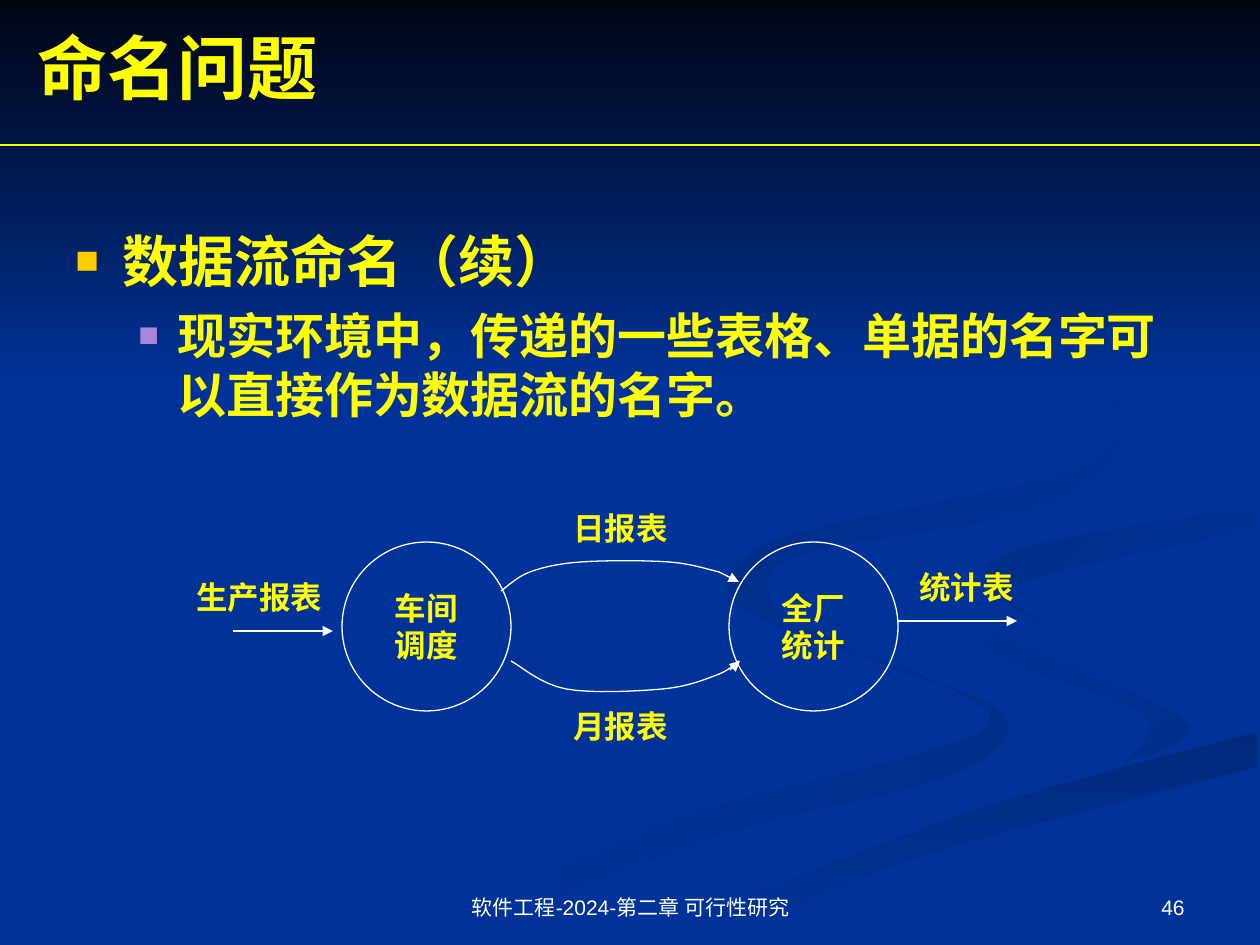
import pptx
import pptx.dml.color
import pptx.enum.shapes
import pptx.enum.text
import pptx.oxml
import pptx.oxml.ns
import pptx.util

PX = 914400 / 126
SERIF, SANS = "Times New Roman", "Arial"
YELLOW, WHITE, BLUE = "FFFF00", "FFFFFF", "003399"
ALIGN = pptx.enum.text.PP_ALIGN
ANCHOR = pptx.enum.text.MSO_ANCHOR
SHAPE = pptx.enum.shapes.MSO_SHAPE

RIBBONS = [
    ([BLUE, "002E8B"], 0, [
        [(724, 578), (770, 624), (932, 680), (975, 735), (679, 818), (378, 944)],
        [(454, 944), (711, 838), (953, 774), (1003, 714), (859, 654), (724, 578)]]),
    ([BLUE, "002E8B"], 45, [
        [(912, 585), (984, 653), (1143, 713), (1126, 762)],
        [(1126, 762), (1188, 725), (1046, 654), (912, 585)]]),
    (["002A7D", BLUE], 90, [
        [(719, 944), (910, 859), (1257, 767)],
        [(1257, 732), (963, 815), (634, 944)]]),
    (["002D86", BLUE], 45, [
        [(1041, 625), (1023, 582), (1257, 529)],
        [(1257, 507), (1035, 545), (984, 580), (1041, 625)]]),
    (["002B82", BLUE], 45, [
        [(960, 294), (1104, 386), (1084, 466), (787, 537), (728, 590), (784, 630)],
        [(784, 630), (786, 559), (1039, 507), (1125, 422), (1034, 329), (960, 294)]]),
]
FLOWS = [
    [(501, 591), (530, 572), (581, 562), (669, 562), (719, 572)],
    [(511, 661), (566, 689), (663, 689), (717, 675), (739, 661)],
]
ARROWS = [(719, 572, 739, 582), (233, 631, 333, 631), (898, 621, 1017, 621), (730, 670, 740, 661)]
CIRCLES = [(342, ["车间", "调度"]), (729, ["全厂", "统计"])]
LABELS = [(184, 572, 151, "生产报表"), (907, 562, 120, "统计表"),
          (561, 503, 120, "日报表"), (561, 701, 120, "月报表")]
BULLETS = [("数据流命名（续）", 32, 0, 47, -47, "FFCC00"),
           ("现实环境中，传递的一些表格、单据的名字可以直接作为数据流的名字。", 28, 7, 102, -39, "A886E0")]


def emu(*lengths):
    """Turn px lengths into EMU."""
    return [round(length * PX) for length in lengths]


def rgb(value):
    """Return the colour of a hex string."""
    return pptx.dml.color.RGBColor.from_string(value)


def paint(shape, colours, angle=0):
    """Fill a shape with one colour, a two-colour gradient, or nothing."""
    if not colours:
        shape.fill.background()
    elif len(colours) == 1:
        shape.fill.solid()
        shape.fill.fore_color.rgb = rgb(colours[0])
    else:
        shape.fill.gradient()
        shape.fill.gradient_angle = (360 - angle) % 360
        for stop, colour in zip(shape.fill.gradient_stops, colours):
            stop.color.rgb = rgb(colour)


def outline(shape, colour):
    """Give a shape or connector a thin line."""
    shape.line.color.rgb = rgb(colour)
    shape.line.width = pptx.util.Pt(0.75)


def smooth(points, steps=8):
    """Sample a Catmull-Rom curve through the points."""
    padded = [points[0], *points, points[-1]]
    curve = [points[0]]
    for a, b, c, d in zip(padded, padded[1:], padded[2:], padded[3:]):
        for t in (step / steps for step in range(1, steps + 1)):
            curve.append(tuple(
                (2 * q + (r - p) * t + (2 * p - 5 * q + 4 * r - s) * t ** 2
                 + (3 * q - p - 3 * r + s) * t ** 3) / 2
                for p, q, r, s in zip(a, b, c, d)))
    return curve


def add_outline(page, edges, close):
    """Add a freeform made of smooth edges."""
    points = [tuple(emu(*point)) for edge in edges for point in smooth(edge)]
    builder = page.shapes.build_freeform(*points[0], scale=1.0)
    builder.add_line_segments(points[1:], close=close)
    shape = builder.convert_to_shape()
    shape.shadow.inherit = False
    return shape


def add_shape(page, kind, box, colours, angle=0):
    """Add a preset shape without shadow."""
    shape = page.shapes.add_shape(kind, *emu(*box))
    shape.shadow.inherit = False
    paint(shape, colours, angle)
    return shape


def add_line(page, ends, colour, arrow=False):
    """Add a straight line, with an arrowhead at its end if asked."""
    line = page.shapes.add_connector(pptx.enum.shapes.MSO_CONNECTOR.STRAIGHT, *emu(*ends))
    outline(line, colour)
    properties = line._element.spPr
    names = pptx.oxml.ns.nsdecls("a")
    if arrow:
        head = pptx.oxml.parse_xml(f'<a:tailEnd {names} type="triangle"/>')
        properties.find(pptx.oxml.ns.qn("a:ln")).append(head)
    properties.append(pptx.oxml.parse_xml(f"<a:effectLst {names}/>"))


def write(para, text, size, colour=YELLOW, font=SERIF, bold=True, align=ALIGN.LEFT):
    """Add one formatted run to a paragraph."""
    para.alignment = align
    span = para.add_run()
    span.text = text
    span.font.size = pptx.util.Pt(size)
    span.font.name = font
    span.font.bold = bold
    span.font.color.rgb = rgb(colour)


def add_text(page, box, text, wrap=True, anchor=ANCHOR.TOP, **style):
    """Add a text box with one paragraph."""
    frame = page.shapes.add_textbox(*emu(*box)).text_frame
    frame.word_wrap = wrap
    frame.vertical_anchor = anchor
    write(frame.paragraphs[0], text, **style)


def add_title(page, box, text):
    """Place and format the title placeholder in front of the backdrop."""
    title = page.shapes.title
    title.left, title.top, title.width, title.height = emu(*box)
    title.text_frame.vertical_anchor = ANCHOR.MIDDLE
    write(title.text_frame.paragraphs[0], text, 40)
    page.shapes._spTree.append(title._element)


def add_bullets(page, box):
    """Add the bulleted body text."""
    frame = page.shapes.add_textbox(*emu(*box)).text_frame
    frame.word_wrap = True
    names = pptx.oxml.ns.nsdecls("a")
    for level, (text, size, before, margin, indent, colour) in enumerate(BULLETS):
        para = frame.add_paragraph() if level else frame.paragraphs[0]
        para.level = level
        para.space_before = pptx.util.Pt(before)
        properties = para._p.get_or_add_pPr()
        for name, length in zip(("marL", "indent"), emu(margin, indent)):
            properties.set(name, str(length))
        for part in (f'<a:buClr {names}><a:srgbClr val="{colour}"/></a:buClr>',
                     f'<a:buSzPct {names} val="70000"/>',
                     f'<a:buFont {names} typeface="{SANS}"/>',
                     f'<a:buChar {names} char="■"/>'):
            properties.append(pptx.oxml.parse_xml(part))
        write(para, text, size)


def add_process(page, left, lines):
    """Add a process circle with its name."""
    circle = add_shape(page, SHAPE.OVAL, (left, 542, 169, 169), [])
    outline(circle, WHITE)
    frame = circle.text_frame
    frame.word_wrap = False
    frame.vertical_anchor = ANCHOR.MIDDLE
    for index, text in enumerate(lines):
        para = frame.add_paragraph() if index else frame.paragraphs[0]
        write(para, text, 18, align=ALIGN.CENTER)


def main():
    """Build the slide and save it."""
    deck = pptx.Presentation()
    deck.slide_width, deck.slide_height = emu(1260, 945)
    page = deck.slides.add_slide(deck.slide_layouts[5])
    paint(page.background, [BLUE])
    for colours, angle, edges in RIBBONS:
        ribbon = add_outline(page, edges, True)
        paint(ribbon, colours, angle)
        ribbon.line.fill.background()
    sky = add_shape(page, SHAPE.RECTANGLE, (0, 0, 1260, 388), ["000514", BLUE], 90)
    sky.line.fill.background()
    add_title(page, (25, 18, 1134, 97), "命名问题")
    add_line(page, (0, 145, 1260, 145), YELLOW)
    add_bullets(page, (63, 220, 1134, 252))
    for left, lines in CIRCLES:
        add_process(page, left, lines)
    for points in FLOWS:
        flow = add_outline(page, [points], False)
        paint(flow, [])
        outline(flow, WHITE)
    for ends in ARROWS:
        add_line(page, ends, WHITE, arrow=True)
    for left, top, width, text in LABELS:
        add_text(page, (left, top, width, 50), text, wrap=False, size=18)
    small = dict(anchor=ANCHOR.BOTTOM, size=12, colour=WHITE, font=SANS, bold=False)
    add_text(page, (431, 861, 399, 65), "软件工程-2024-第二章 可行性研究", align=ALIGN.CENTER, **small)
    add_text(page, (903, 861, 294, 65), "46", align=ALIGN.RIGHT, **small)
    deck.save("out.pptx")


if __name__ == "__main__":
    main()
